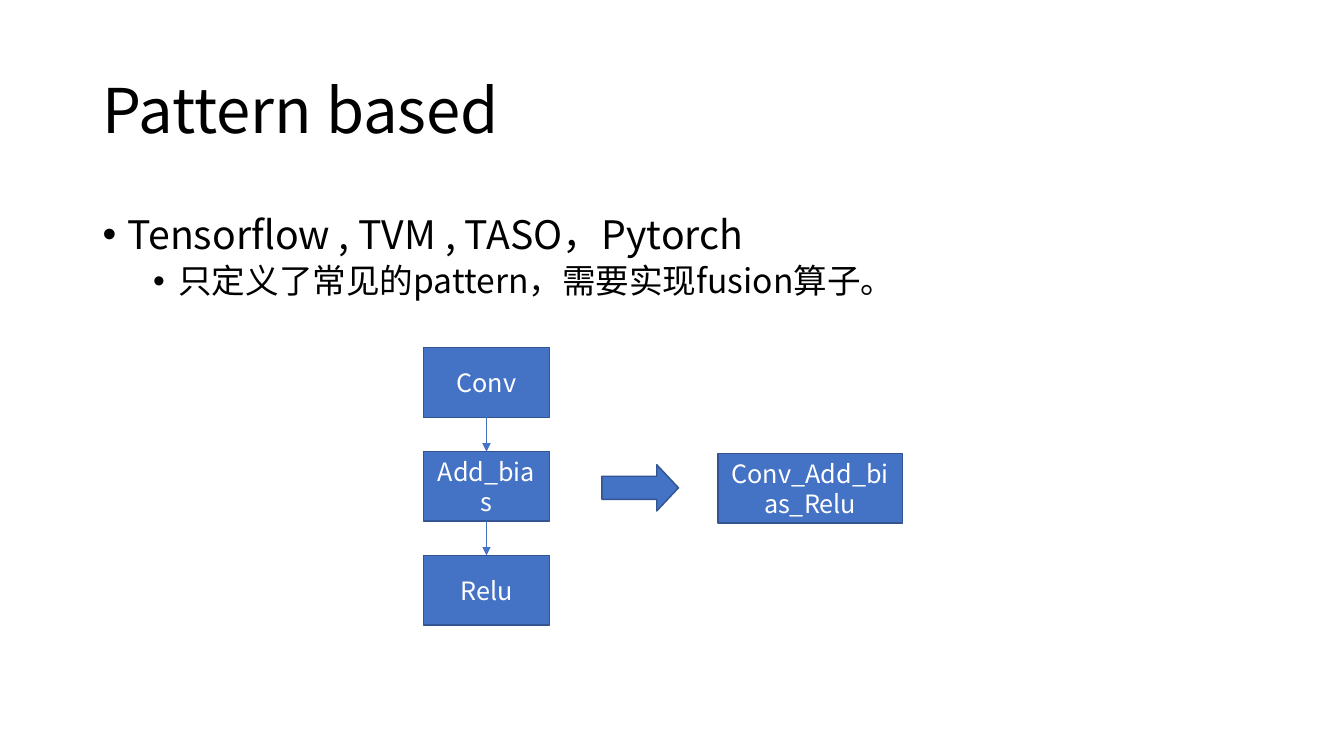
import pptx
import pptx.util
from lxml import etree
from pptx.dml.color import RGBColor
from pptx.enum.shapes import MSO_CONNECTOR, MSO_SHAPE
from pptx.enum.text import MSO_ANCHOR, PP_ALIGN
from pptx.oxml.ns import qn
from pptx.util import Inches, Pt

# Content
TITLE = "Pattern based"
BULLETS = [  # text, size, left margin, space before
    ("Tensorflow , TVM , TASO，Pytorch", 28, 0.25, 10),
    ("只定义了常见的pattern，需要实现fusion算子。", 24, 0.75, 5),
]
OPERATORS = ["Conv", "Add_bias", "Relu"]
FUSED_OPERATOR = "Conv_Add_bias_Relu"

# Format
FONT = "Noto Sans CJK SC"
BLACK = RGBColor(0x00, 0x00, 0x00)
WHITE = RGBColor(0xFF, 0xFF, 0xFF)
BLUE = RGBColor(0x44, 0x72, 0xC4)
DARK_BLUE = RGBColor(0x32, 0x54, 0x91)
BULLET_INDENT = 0.25
OPERATOR_LEFT, OPERATOR_TOP, OPERATOR_WIDTH = 4.2, 3.45, 1.25
BOX_HEIGHT, OPERATOR_STEP = 0.69, 1.03
TEXT_FRAME = {"word_wrap": True, "vertical_anchor": MSO_ANCHOR.TOP}
CENTRED_FRAME = {"word_wrap": True, "vertical_anchor": MSO_ANCHOR.MIDDLE}
BODY_PARAGRAPH = {"alignment": PP_ALIGN.LEFT, "line_spacing": 0.9}
BOX_PARAGRAPH = {"alignment": PP_ALIGN.CENTER}


def apply(target, values):
    for name, value in values.items():
        setattr(target, name, value)


def write(paragraph, text, size, color, values):
    apply(paragraph, values)
    run = paragraph.add_run()
    run.text = text
    apply(run.font, {"name": FONT, "size": Pt(size)})
    run.font.color.rgb = color
    # East Asian characters take their own font entry
    etree.SubElement(run.font._element, qn("a:ea"), typeface=FONT)


def add_text_area(slide, left, top, width, height, frame_values):
    area = slide.shapes.add_textbox(*map(Inches, (left, top, width, height)))
    apply(area.text_frame, frame_values)
    return area.text_frame


def add_blue_shape(diagram, kind, left, top, width, height):
    shape = diagram.shapes.add_shape(kind, *map(Inches, (left, top, width, height)))
    shape.shadow.inherit = False
    shape.fill.solid()
    shape.fill.fore_color.rgb = BLUE
    shape.line.color.rgb = DARK_BLUE
    shape.line.width = Pt(1)
    return shape


def add_box(diagram, text, left, top, width):
    box = add_blue_shape(diagram, MSO_SHAPE.RECTANGLE, left, top, width, BOX_HEIGHT)
    apply(box.text_frame, CENTRED_FRAME)
    write(box.text_frame.paragraphs[0], text, 18, WHITE, BOX_PARAGRAPH)
    return box


def add_flow(diagram, upper, lower):
    middle = upper.left + upper.width // 2
    flow = diagram.shapes.add_connector(
        MSO_CONNECTOR.STRAIGHT, middle, upper.top + upper.height, middle, lower.top)
    flow.begin_connect(upper, 2)
    flow.end_connect(lower, 0)
    flow.line.color.rgb = BLUE
    flow.line.width = Pt(0.5)
    etree.SubElement(flow.line._get_or_add_ln(), qn("a:tailEnd"), type="triangle")
    etree.SubElement(flow._element.spPr, qn("a:effectLst"))


def main():
    deck = pptx.Presentation()
    deck.slide_width, deck.slide_height = Inches(13.33), Inches(7.5)
    slide = deck.slides.add_slide(deck.slide_layouts[6])

    # Title
    heading = add_text_area(slide, 0.92, 0.4, 11.5, 1.45, CENTRED_FRAME)
    write(heading.paragraphs[0], TITLE, 44, BLACK, BODY_PARAGRAPH)

    # Bullets
    body = add_text_area(slide, 0.92, 2.09, 11.5, 4.76, TEXT_FRAME)
    for level, (text, size, margin, before) in enumerate(BULLETS):
        paragraph = body.add_paragraph() if level else body.paragraphs[0]
        write(paragraph, text, size, BLACK,
              {**BODY_PARAGRAPH, "level": level, "space_before": Pt(before)})
        properties = paragraph._p.get_or_add_pPr()
        properties.set("marL", str(Inches(margin)))
        properties.set("indent", str(-Inches(BULLET_INDENT)))
        etree.SubElement(properties, qn("a:buFont"), typeface="Arial")
        etree.SubElement(properties, qn("a:buChar"), char="•")

    # Operator chain
    diagram = slide.shapes.add_group_shape()
    operators = [
        add_box(diagram, name, OPERATOR_LEFT, OPERATOR_TOP + row * OPERATOR_STEP,
                OPERATOR_WIDTH)
        for row, name in enumerate(OPERATORS)
    ]
    for upper, lower in zip(operators, operators[1:]):
        add_flow(diagram, upper, lower)

    # Fusion result
    add_box(diagram, FUSED_OPERATOR, 7.12, 4.5, 1.83)
    fusion = add_blue_shape(diagram, MSO_SHAPE.RIGHT_ARROW, 5.97, 4.61, 0.76, 0.46)
    fusion.adjustments[1] = 0.47

    deck.save("out.pptx")


if __name__ == "__main__":
    main()
